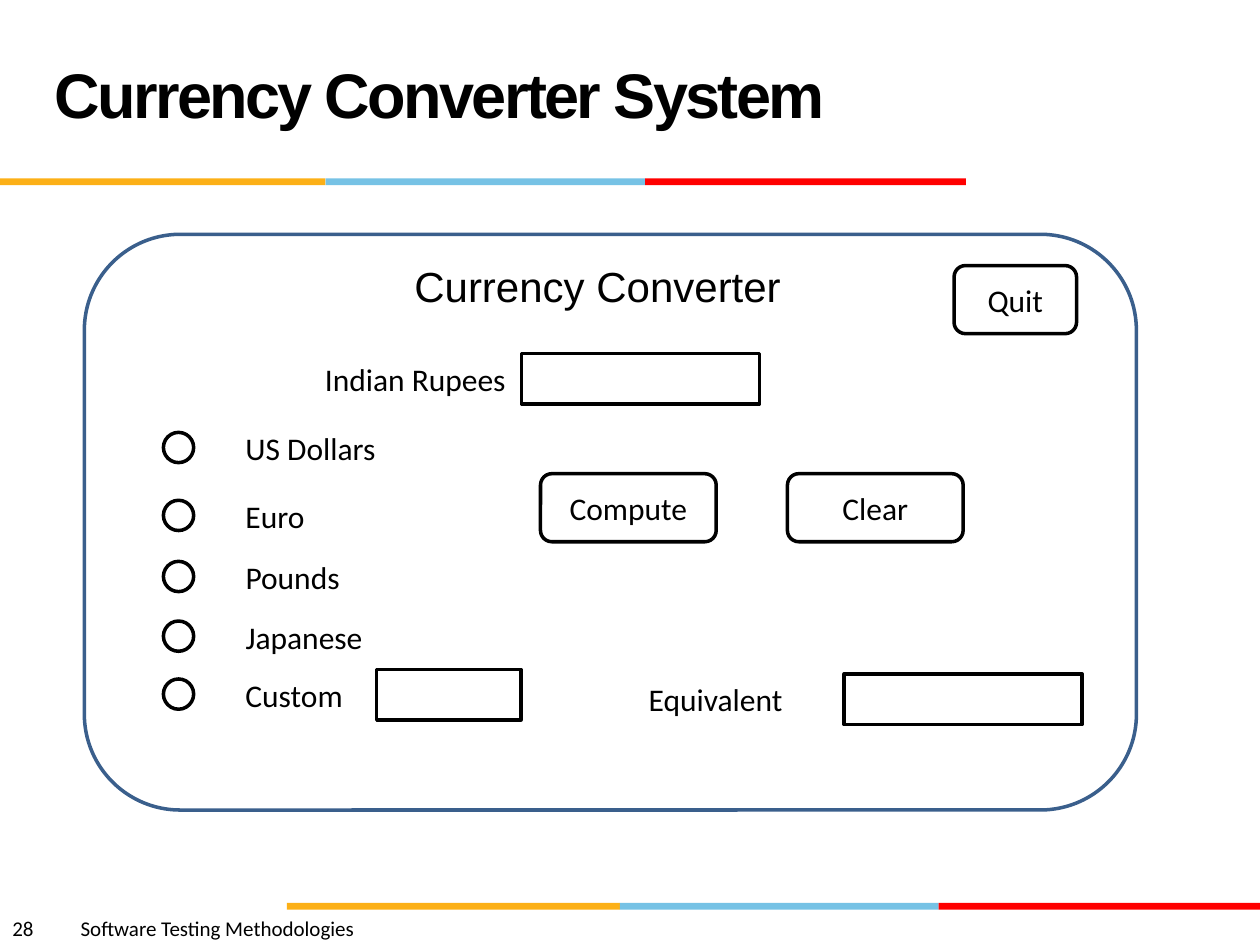
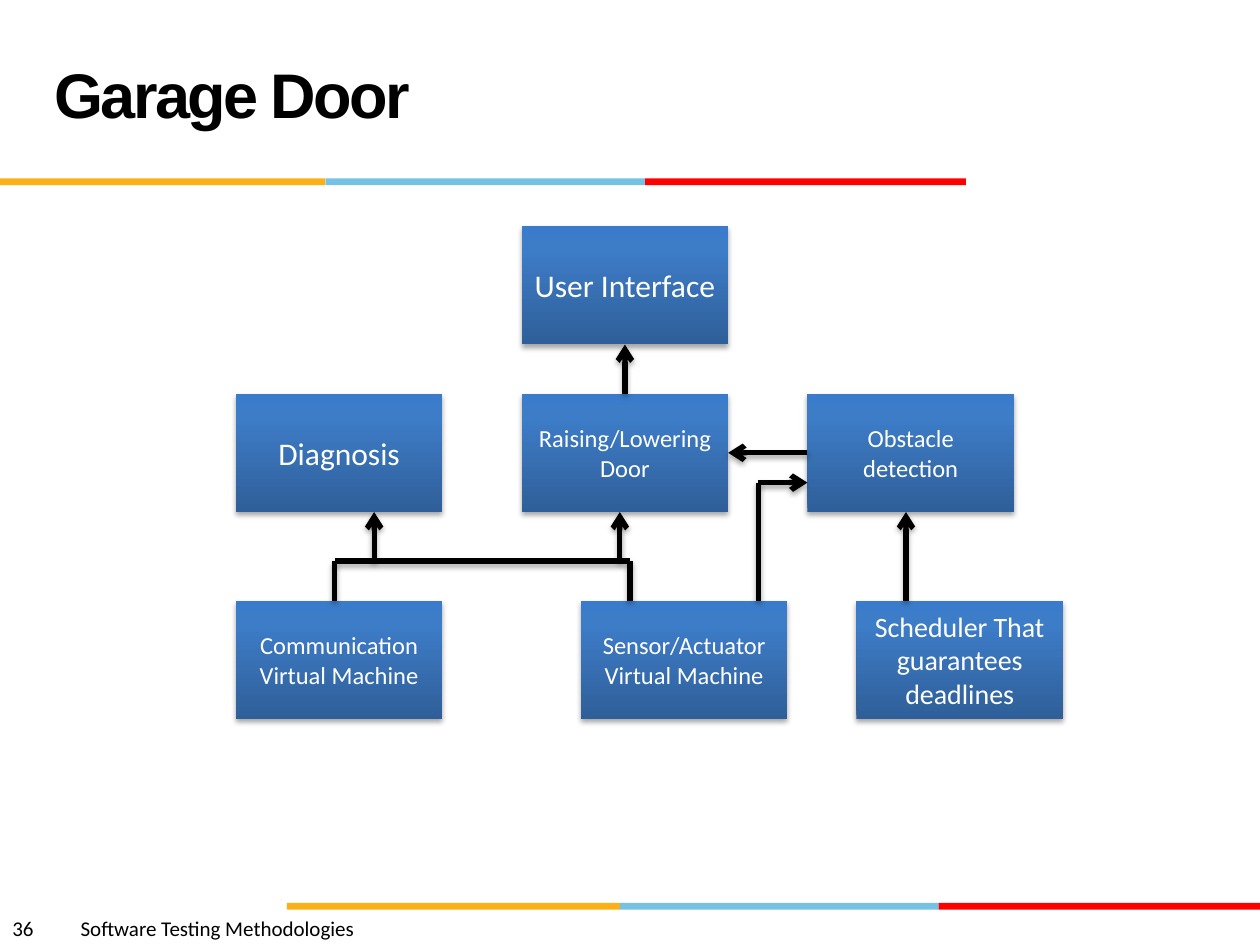
from copy import deepcopy

from lxml import etree
from pptx import Presentation
from pptx.dml.color import RGBColor
from pptx.enum import shapes, text
from pptx.oxml import ns
from pptx.util import Pt

BLACK = RGBColor(0x00, 0x00, 0x00)
WHITE = RGBColor(0xFF, 0xFF, 0xFF)
ORANGE = RGBColor(0xFC, 0xB0, 0x17)
SKY = RGBColor(0x76, 0xC2, 0xE5)
RED = RGBColor(0xFF, 0x00, 0x00)
FRAME_BLUE = RGBColor(0x3A, 0x5F, 0x8C)
MODULE_STOPS = ((0, RGBColor(0x2F, 0x5F, 0x99)),
                (0.8, RGBColor(0x3D, 0x7C, 0xC7)),
                (1, RGBColor(0x3A, 0x7C, 0xCB)))

RECT = shapes.MSO_SHAPE.RECTANGLE
ROUNDED = shapes.MSO_SHAPE.ROUNDED_RECTANGLE
CIRCLE = shapes.MSO_SHAPE.OVAL
TOP, LEFT, BOTTOM, RIGHT = range(4)

FOOTER = "Software Testing Methodologies"
# Each band: top, then the edges of its orange, blue and red parts
BANDS = ((101.9, (0, 186, 368.7, 552)), (515.9, (164, 354.2, 536.4, 720)))

FIELD_HEIGHT = 28.8
RADIO_SIZE = 17.3
# Each option: currency, top, label width
OPTIONS = (("US Dollars", 241.7, 92), ("Euro", 280.5, 50), ("Pounds", 315.4, 70),
           ("Japanese", 349.5, 82), ("Custom", 382.6, 72))

MODULE_W, MODULE_H = 118, 67.7
MIDDLE_Y, LOWER_Y, BUS_Y = 224.9, 343.2, 320.6
MIDDLE_X = [134.8 + 163.3 * column for column in range(3)]
MODULES = {
    "User Interface": (MIDDLE_X[1], 129.2, 18),
    "Diagnosis": (MIDDLE_X[0], MIDDLE_Y, 18),
    "Raising/Lowering Door": (MIDDLE_X[1], MIDDLE_Y, 14),
    "Obstacle detection": (MIDDLE_X[2], MIDDLE_Y, 14),
    "Communication Virtual Machine": (MIDDLE_X[0], LOWER_Y, 14),
    "Sensor/Actuator Virtual Machine": (332, LOWER_Y, 14),
    "Scheduler That guarantees deadlines": (489.4, LOWER_Y, 16),
}


def points(*lengths):
    return [Pt(length) for length in lengths]


def add_run(paragraph, words, size, color=BLACK, font="Calibri"):
    run = paragraph.add_run()
    run.text = words
    run.font.size = Pt(size)
    run.font.name = font
    run.font.color.rgb = color
    return run


def add_label(slide, words, x, y, width, height=FIELD_HEIGHT, size=18, font="Calibri"):
    label = slide.shapes.add_textbox(*points(x, y, width, height))
    label.text_frame.word_wrap = False
    label.text_frame.auto_size = text.MSO_AUTO_SIZE.SHAPE_TO_FIT_TEXT
    paragraph = label.text_frame.paragraphs[0]
    add_run(paragraph, words, size, font=font)
    return paragraph


def add_block(slide, kind, x, y, width, height, fill=WHITE, outline=BLACK):
    """Add a flat preset shape; None leaves out the fill or the outline."""
    block = slide.shapes.add_shape(kind, *points(x, y, width, height))
    block.shadow.inherit = False
    if fill is None:
        block.fill.background()
    else:
        block.fill.solid()
        block.fill.fore_color.rgb = fill
    if outline is None:
        block.line.fill.background()
    else:
        block.line.color.rgb = outline
        block.line.width = Pt(2)
    return block


def center_text(block, words, size, color):
    frame = block.text_frame
    frame.word_wrap = True
    frame.vertical_anchor = text.MSO_ANCHOR.MIDDLE
    frame.paragraphs[0].alignment = text.PP_ALIGN.CENTER
    add_run(frame.paragraphs[0], words, size, color)


def add_button(slide, words, x, y, width):
    center_text(add_block(slide, ROUNDED, x, y, width, 38.9), words, 18, BLACK)


def add_field(slide, x, y, width):
    add_block(slide, RECT, x, y, width, FIELD_HEIGHT)


def fill_effects(effects):
    """Put the soft shadow below the diagram parts into an effect list."""
    shadow = etree.SubElement(effects, ns.qn("a:outerShdw"), blurRad="40000",
                              dist="23000", dir="5400000", rotWithShape="0")
    color = etree.SubElement(shadow, ns.qn("a:srgbClr"), val=str(BLACK))
    etree.SubElement(color, ns.qn("a:alpha"), val="35000")


def add_module(slide, words, x, y, size):
    module = add_block(slide, RECT, x, y, MODULE_W, MODULE_H, outline=None)
    module.fill.gradient()
    module.fill.gradient_angle = 90
    properties = module._element.spPr
    stops = properties.find(ns.qn("a:gradFill")).find(ns.qn("a:gsLst"))
    stops.append(deepcopy(stops[-1]))
    for stop, (position, color) in zip(module.fill.gradient_stops, MODULE_STOPS):
        stop.position = position
        stop.color.rgb = color
    fill_effects(properties.find(ns.qn("a:effectLst")))
    center_text(module, words, size, WHITE)
    return module


def add_link(slide, start=(0, 0), end=(0, 0), arrow=True):
    link = slide.shapes.add_connector(shapes.MSO_CONNECTOR.STRAIGHT,
                                      *points(*start, *end))
    link.line.color.rgb = BLACK
    link.line.width = Pt(3)
    if arrow:
        etree.SubElement(link.line._get_or_add_ln(), ns.qn("a:tailEnd"), type="arrow")
    fill_effects(etree.SubElement(link._element.spPr, ns.qn("a:effectLst")))
    return link


def join(slide, source, source_side, target, target_side):
    link = add_link(slide)
    link.begin_connect(source, source_side)
    link.end_connect(target, target_side)


def add_page(deck, title, number):
    """Add a slide with the shared bands, footer and title style."""
    slide = deck.slides.add_slide(deck.slide_layouts.get_by_name("Title Only"))
    for y, edges in BANDS:
        for color, left, right in zip((ORANGE, SKY, RED), edges, edges[1:]):
            add_block(slide, RECT, left, y, right - left, 3.9, color, None)

    footer = add_label(slide, f"{number}\t{FOOTER}", 0, 519.4, 360, 21.6, 12)
    tabs = etree.SubElement(footer._p.get_or_add_pPr(), ns.qn("a:tabLst"))
    etree.SubElement(tabs, ns.qn("a:tab"), pos=str(Pt(39)), algn="l")
    slide.shapes[-1].text_frame.word_wrap = True

    heading = slide.shapes.title
    heading.left, heading.top, heading.width, heading.height = points(24, 12, 498, 90)
    frame = heading.text_frame
    frame.auto_size = text.MSO_AUTO_SIZE.NONE
    frame.vertical_anchor = text.MSO_ANCHOR.MIDDLE
    paragraph = frame.paragraphs[0]
    paragraph.alignment = text.PP_ALIGN.LEFT
    paragraph.line_spacing = Pt(36)
    run = add_run(paragraph, title, 36, font="Arial")
    run.font.bold = True
    run.font._element.set("spc", "-150")
    return slide


def build_converter(deck):
    slide = add_page(deck, "Currency Converter System", 28)
    add_block(slide, ROUNDED, 48.2, 133.9, 601.2, 329, None, FRAME_BLUE)
    add_label(slide, "Currency Converter", 229.7, 145.4, 232.6, 36, 24, "Arial")

    add_label(slide, "Indian Rupees", 178.6, 202.3, 119.5)
    add_field(slide, 298.1, 202, 136)
    add_label(slide, "Equivalent", 363.6, 385.2, 92.2)
    add_field(slide, 482.4, 385.2, 136)

    for currency, y, width in OPTIONS:
        add_block(slide, CIRCLE, 93.4, y + 5.4, RADIO_SIZE, RADIO_SIZE)
        add_label(slide, currency, 133.2, y, width)
    add_field(slide, 215.3, OPTIONS[-1][1], 82.5)

    add_button(slide, "Compute", 308.9, 270.7, 100.4)
    add_button(slide, "Clear", 450, 270.7, 100.4)
    add_button(slide, "Quit", 545.2, 151.8, 70)


def build_garage_door(deck):
    slide = add_page(deck, "Garage Door", 36)
    modules = {name: add_module(slide, name, *place) for name, place in MODULES.items()}
    door = modules["Raising/Lowering Door"]
    obstacle = modules["Obstacle detection"]
    join(slide, door, TOP, modules["User Interface"], BOTTOM)
    join(slide, obstacle, LEFT, door, RIGHT)

    middle_bottom = MIDDLE_Y + MODULE_H
    for x, start_y in ((213.8, BUS_Y), (354.2, BUS_Y), (517.7, LOWER_Y)):
        add_link(slide, (x, start_y), (x, middle_bottom))

    bus_left, bus_right = 191.2, 360
    for x in (bus_left, bus_right):
        add_link(slide, (x, LOWER_Y), (x, BUS_Y), arrow=False)
    add_link(slide, (bus_right, BUS_Y), (bus_left, BUS_Y), arrow=False)

    sensor_x, sensor_y = 433.4, 275.8
    add_link(slide, (sensor_x, LOWER_Y), (sensor_x, sensor_y), arrow=False)
    add_link(slide, (sensor_x, sensor_y), (MIDDLE_X[2], sensor_y))


def main():
    deck = Presentation()
    deck.slide_width, deck.slide_height = points(720, 540)
    build_converter(deck)
    build_garage_door(deck)
    deck.save("out.pptx")


if __name__ == "__main__":
    main()
